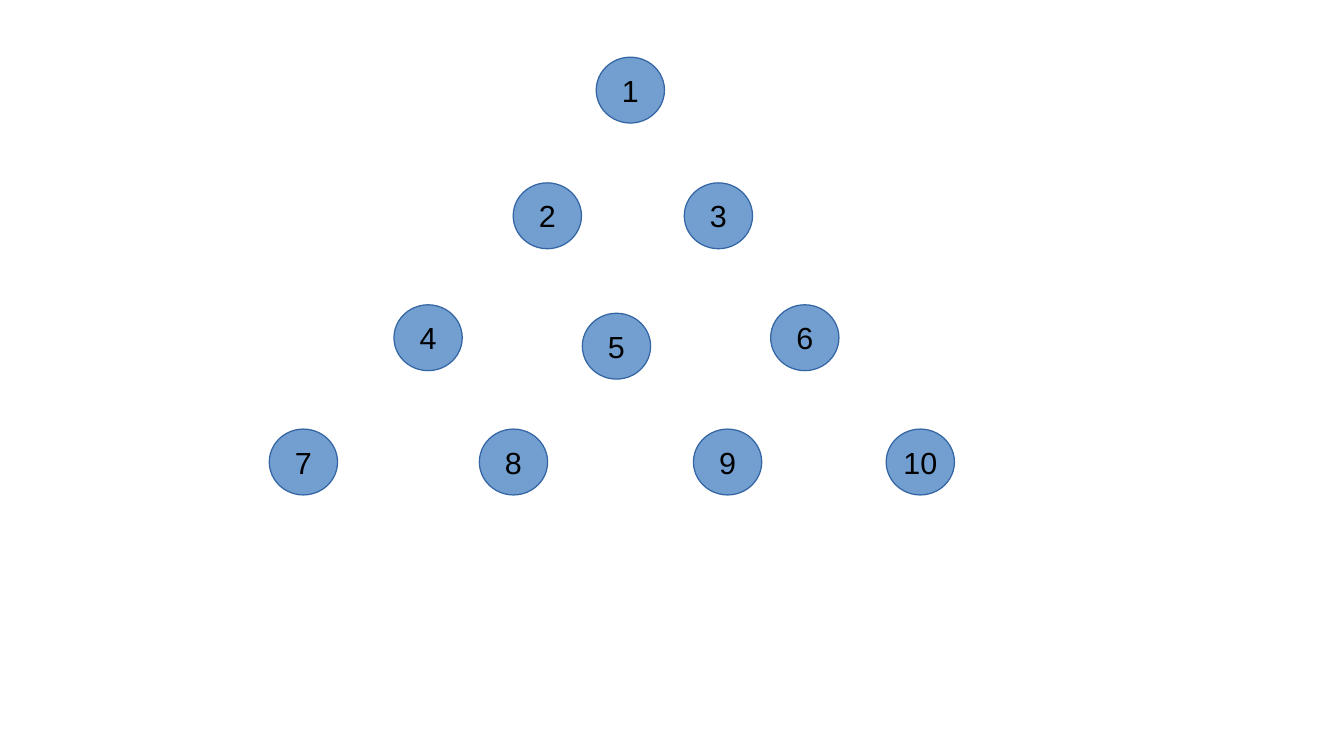
from itertools import count

from pptx import Presentation
from pptx.dml.color import RGBColor
from pptx.enum.shapes import MSO_SHAPE
from pptx.enum.text import MSO_ANCHOR, PP_ALIGN
from pptx.util import Pt

ELLIPSE = MSO_SHAPE.OVAL
MIDDLE = MSO_ANCHOR.MIDDLE
CENTER = PP_ALIGN.CENTER

COLORS = {"fill": "729FCF", "outline": "3465A4", "number": "000000"}
NODE_WIDTH, NODE_HEIGHT = 40.3, 38.9


class Pyramid:
    font = "Arial"
    font_size = 18
    outline_width = 0.75

    def __init__(self, slide):
        self.slide = slide

    def color(self, role):
        return RGBColor.from_string(COLORS[role])

    def node(self, left, top, number):
        circle = self.slide.shapes.add_shape(
            ELLIPSE, Pt(left), Pt(top), Pt(NODE_WIDTH), Pt(NODE_HEIGHT)
        )
        circle.shadow.inherit = False
        circle.fill.solid()
        circle.fill.fore_color.rgb = self.color("fill")
        circle.line.color.rgb = self.color("outline")
        circle.line.width = Pt(self.outline_width)
        frame = circle.text_frame
        frame.word_wrap = False
        frame.vertical_anchor = MIDDLE
        paragraph = frame.paragraphs[0]
        paragraph.alignment = CENTER
        run = paragraph.add_run()
        run.text = str(number)
        run.font.name = self.font
        run.font.size = Pt(self.font_size)
        run.font.color.rgb = self.color("number")


presentation = Presentation()
presentation.slide_width = Pt(793.44)
presentation.slide_height = Pt(446.4)
pyramid = Pyramid(presentation.slides.add_slide(presentation.slide_layouts[6]))

rows = [
    [(352, 33.8)],
    [(303, 108), (404, 108)],
    [(232.6, 180), (343.8, 185), (455, 180)],
    [(159, 253.4), (283, 253.4), (409.4, 253.4), (523.2, 253.4)],
]
numbers = count(1)
for row in rows:
    for left, top in row:
        pyramid.node(left, top, next(numbers))

presentation.save("out.pptx")
